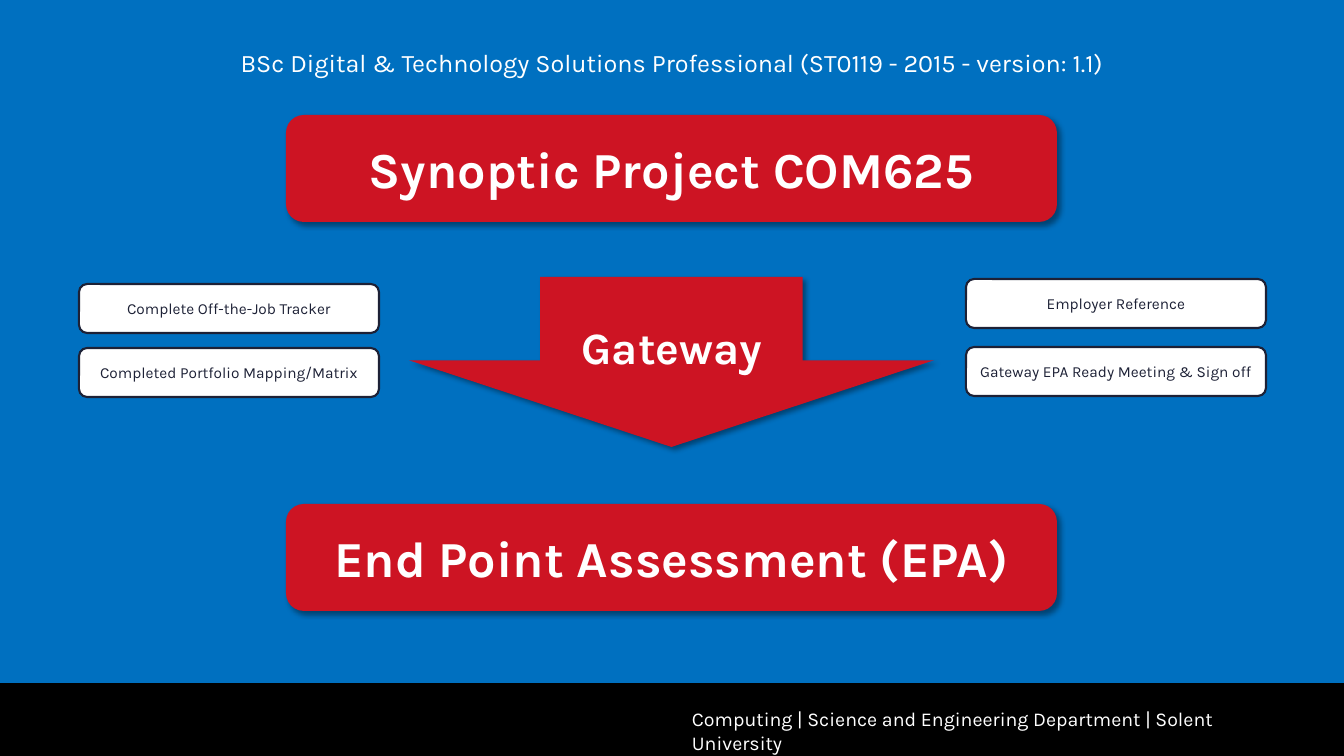
from dataclasses import dataclass

from lxml.etree import SubElement
from pptx import Presentation
from pptx.dml.color import RGBColor
from pptx.enum.shapes import MSO_SHAPE
from pptx.enum.text import MSO_ANCHOR, PP_ALIGN
from pptx.oxml.ns import qn
from pptx.util import Emu, Pt

EMU_PER_PX = 12192000 / 1344


@dataclass(frozen=True)
class Theme:
    font: str = "Karla"
    blue: str = "0070C0"
    red: str = "CD1423"
    navy: str = "1D2136"
    white: str = "FFFFFF"
    black: str = "000000"
    stage_size: int = 36
    gateway_size: int = 32
    course_size: int = 18
    footer_size: int = 14
    task_size: int = 11


THEME = Theme()


def px(length):
    return Emu(round(length * EMU_PER_PX))


def color(code):
    return RGBColor.from_string(code)


def write(box, text, size, ink=THEME.white, bold=False, align=PP_ALIGN.CENTER):
    para = box.text_frame.paragraphs[0]
    para.alignment = align
    span = para.add_run()
    span.text = text
    span.font.name = THEME.font
    span.font.size = Pt(size)
    span.font.bold = bold
    span.font.color.rgb = color(ink)
    return para


def add_block(shapes, kind, left, top, width, height, fill, outline=None):
    block = shapes.add_shape(kind, px(left), px(top), px(width), px(height))
    block.shadow.inherit = False
    block.fill.solid()
    block.fill.fore_color.rgb = color(fill)
    if outline:
        block.line.color.rgb = color(outline)
        block.line.width = Pt(1.5)
    else:
        block.line.fill.background()
    block.text_frame.word_wrap = True
    block.text_frame.vertical_anchor = MSO_ANCHOR.MIDDLE
    return block


def add_shadow(block):
    effects = block._element.spPr.find(qn("a:effectLst"))
    shadow = SubElement(effects, qn("a:outerShdw"), blurRad=str(Pt(4)),
                        dist=str(Pt(3)), dir="2700000", algn="tl", rotWithShape="0")
    tint = SubElement(shadow, qn("a:srgbClr"), val=THEME.black)
    SubElement(tint, qn("a:alpha"), val="40000")


def add_text(shapes, left, top, width, height, wrap=True, inset=0):
    box = shapes.add_textbox(px(left), px(top), px(width), px(height))
    frame = box.text_frame
    frame.word_wrap = wrap
    frame.margin_left = frame.margin_right = px(inset)
    frame.margin_top = frame.margin_bottom = px(inset / 2)
    return box


def add_stage(page, top, text):
    stage = add_block(page.shapes, MSO_SHAPE.ROUNDED_RECTANGLE, 286, top, 771, 107, THEME.red)
    add_shadow(stage)
    write(stage, text, THEME.stage_size, bold=True)


def add_task(page, left, top, text):
    task = add_block(page.shapes, MSO_SHAPE.ROUNDED_RECTANGLE, left, top, 300, 49,
                     THEME.white, THEME.navy)
    write(task, text, THEME.task_size, THEME.navy)


def add_gateway(page):
    group = page.shapes.add_group_shape()
    arrow = add_block(group.shapes, MSO_SHAPE.DOWN_ARROW, 409, 277, 525, 170, THEME.red)
    arrow.adjustments[0] = 0.5
    arrow.adjustments[1] = 0.51
    add_shadow(arrow)
    label = add_text(group.shapes, 541, 320, 262, 43, wrap=False)
    write(label, "Gateway", THEME.gateway_size, bold=True)


def add_footer(page):
    add_block(page.shapes, MSO_SHAPE.RECTANGLE, 0, 683, 1344, 73, THEME.black)
    box = add_text(page.shapes, 642, 707, 664, 25)
    para = write(box, "Computing | Science and Engineering Department | Solent University",
                 THEME.footer_size, align=PP_ALIGN.LEFT)
    properties = para._p.get_or_add_pPr()
    properties.set("marL", str(px(50)))
    properties.set("indent", "0")


def main():
    deck = Presentation()
    deck.slide_width, deck.slide_height = px(1344), px(756)
    page = deck.slides.add_slide(deck.slide_layouts[6])
    page.background.fill.solid()
    page.background.fill.fore_color.rgb = color(THEME.blue)

    add_footer(page)
    add_stage(page, 115, "Synoptic Project COM625")
    add_gateway(page)
    add_stage(page, 504, "End Point Assessment (EPA)")
    course = add_text(page.shapes, 0, 42, 1344, 40, inset=10)
    write(course, "BSc Digital & Technology Solutions Professional (ST0119 - 2015 - version: 1.1)",
          THEME.course_size)

    tasks = [
        (79, 284, "Complete Off-the-Job Tracker"),
        (966, 279, "Employer Reference"),
        (966, 347, "Gateway EPA Ready Meeting & Sign off"),
        (79, 348, "Completed Portfolio Mapping/Matrix"),
    ]
    for left, top, text in tasks:
        add_task(page, left, top, text)

    deck.save("out.pptx")


if __name__ == "__main__":
    main()
